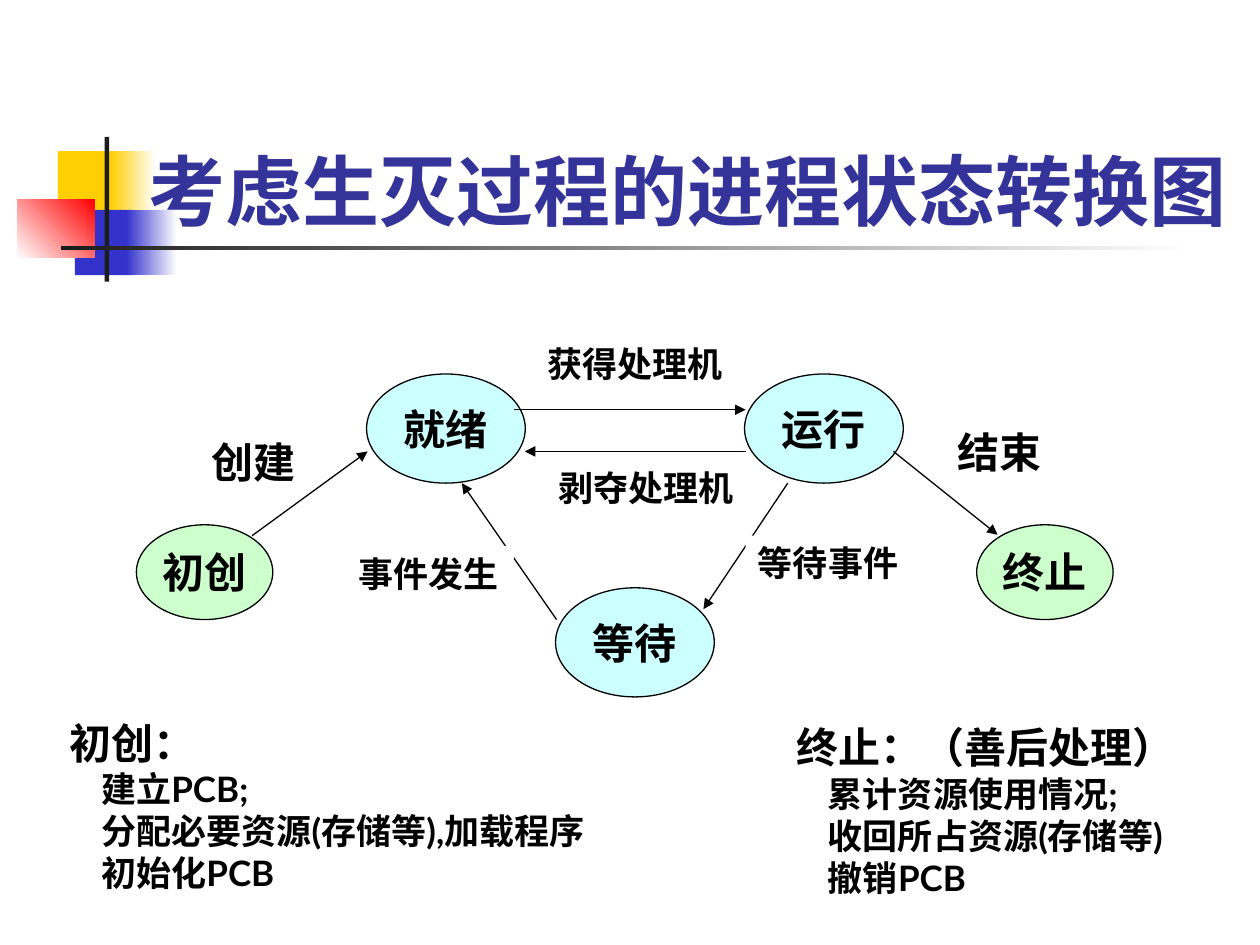
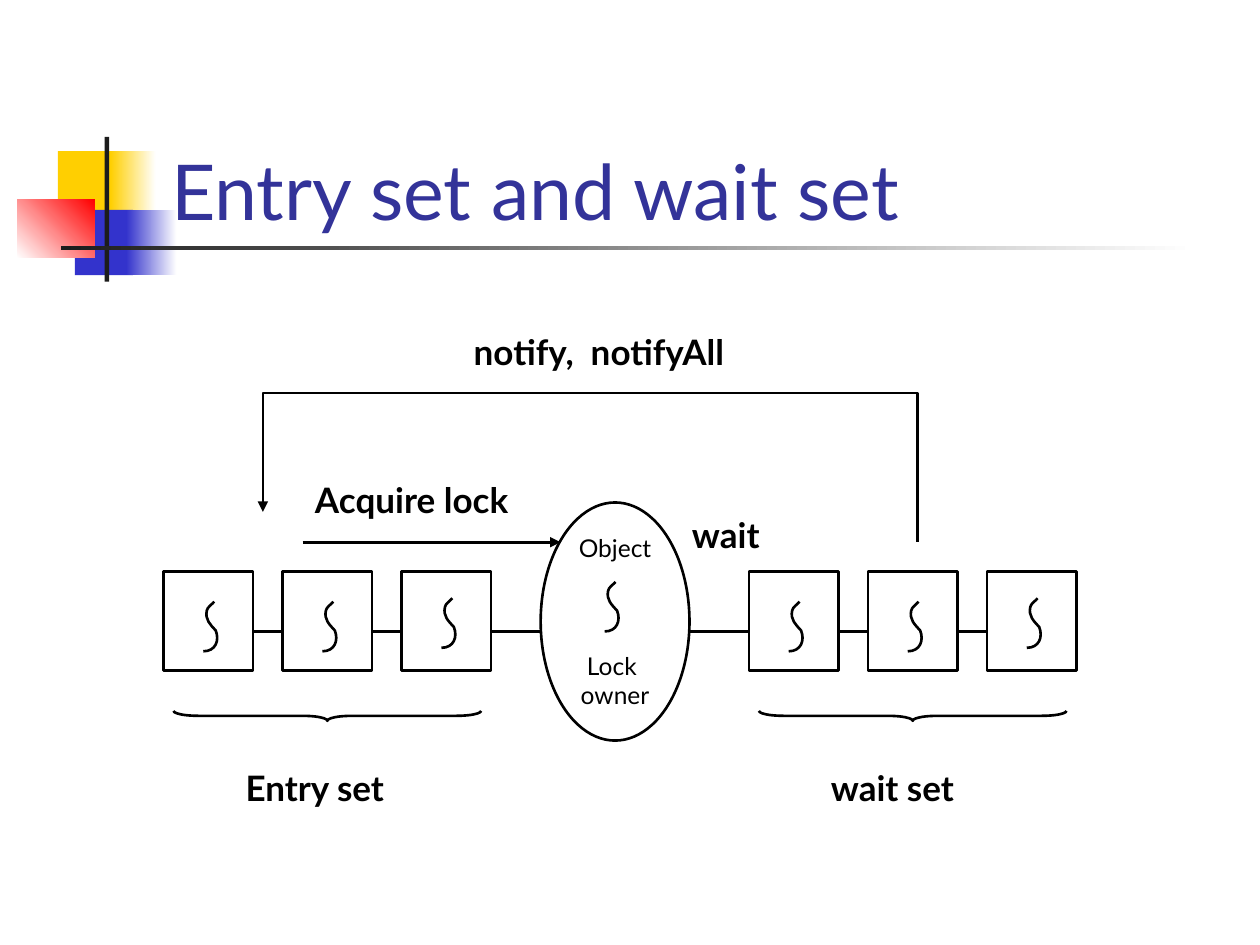
from lxml import etree
from pptx import Presentation
from pptx import util as u
from pptx.dml.color import RGBColor
from pptx.enum import shapes, text
from pptx.oxml.ns import qn

C = {"ink": "000000", "white": "FFFFFF", "title": "333399", "yellow": "FFCF01",
     "blue": "3333CC", "red": "FF0000", "dark": "1C1C1C", "cyan": "CCFFFF", "green": "CCFFCC"}
RECT, OVAL = shapes.MSO_SHAPE.RECTANGLE, shapes.MSO_SHAPE.OVAL
LEFT, CENTER = text.PP_ALIGN.LEFT, text.PP_ALIGN.CENTER
TITLE = {"name": "Lato", "size": u.Pt(44)}
STATE = {"name": "Times New Roman", "size": u.Pt(24), "bold": True}
EVENT = {**STATE, "size": u.Pt(20)}
HEAD = {**STATE, "name": "Lato"}
LABEL = {**EVENT, "name": "Lato"}
OWNER = {"name": "Lato", "size": u.Pt(14)}


def stroke(sp, width, arrow=False):
    sp.line.color.rgb = RGBColor.from_string(C["ink"])
    sp.line.width = u.Pt(width)
    spPr = sp._element.spPr
    if arrow:
        etree.SubElement(spPr.find(qn("a:ln")), qn("a:tailEnd"), type="triangle")
    if spPr.find(qn("a:effectLst")) is None:
        etree.SubElement(spPr, qn("a:effectLst"))


def box(s, at, kind=None, fill=None, width=0, lines=(), color="ink", align=LEFT,
        anchor=text.MSO_ANCHOR.TOP, wrap=True):
    at = [u.Cm(v) for v in at]
    if kind is None:
        sp = s.shapes.add_textbox(*at)
    else:
        sp = s.shapes.add_shape(kind, *at)
        sp.shadow.inherit = False
        sp.line.fill.background()
    if isinstance(fill, tuple):
        sp.fill.gradient()
        sp.fill.gradient_angle = fill[2]
        for stop, name in zip(sp.fill.gradient_stops, fill):
            stop.color.rgb = RGBColor.from_string(C[name])
    elif fill:
        sp.fill.solid()
        sp.fill.fore_color.rgb = RGBColor.from_string(C[fill])
    else:
        sp.fill.background()
    if width:
        stroke(sp, width)
    tf = sp.text_frame
    tf.word_wrap = wrap
    tf.vertical_anchor = anchor
    for i, (words, fmt) in enumerate(lines):
        p = tf.paragraphs[0] if i == 0 else tf.add_paragraph()
        p.alignment = align
        r = p.add_run()
        r.text = words
        for key, value in fmt.items():
            setattr(r.font, key, value)
        r.font.color.rgb = RGBColor.from_string(C[color])
    return sp


prs = Presentation()
prs.slide_width, prs.slide_height = u.Cm(25.4), u.Cm(19.05)

band = [
    ((1.17, 3.05, 1.22, 1.32), "yellow"),
    ((2.23, 3.05, 0.91, 1.32), ("yellow", "white", 0)),
    ((1.51, 4.23, 1.17, 1.32), "blue"),
    ((2.55, 4.23, 1.01, 1.32), ("blue", "white", 0)),
    ((0.35, 4.02, 1.56, 1.18), ("white", "red", 45)),
    ((2.11, 2.76, 0.09, 2.92), "dark"),
    ((1.23, 4.95, 22.86, 0.09), ("dark", "white", 0)),
]
titles = [
    ("考虑生灭过程的进程状态转换图", 2.75, 22.35, {**TITLE, "bold": True}),
    ("Entry set and wait set", 3.2, 21.64, TITLE),
]
for words, x, w, fmt in titles:
    s = prs.slides.add_slide(prs.slide_layouts[6])
    for at, fill in band:
        box(s, at, RECT, fill)
    box(s, (x, 1.7, w, 3.18), lines=[(words, fmt)], color="title",
        anchor=text.MSO_ANCHOR.BOTTOM)

s = prs.slides[0]
states = [
    ("就绪", 7.39, 7.54, 3.2, 2.2, "cyan"),
    ("等待", 11.2, 11.85, 3.2, 2.2, "cyan"),
    ("运行", 15.01, 7.54, 3.2, 2.2, "cyan"),
    ("初创", 2.75, 10.58, 2.75, 1.91, "green"),
    ("终止", 19.69, 10.58, 2.75, 1.91, "green"),
]
for words, x, y, w, h, fill in states:
    box(s, (x, y, w, h), OVAL, fill, 0.75, [(words, STATE)], align=CENTER,
        anchor=text.MSO_ANCHOR.MIDDLE, wrap=False)

moves = [
    (10.37, 8.26, 15.03, 8.26),
    (15.88, 9.74, 14.18, 12.28),
    (11.22, 12.49, 9.31, 9.74),
    (15.03, 9.1, 10.58, 9.1),
    (5.08, 10.8, 7.41, 9.1),
    (18.01, 9.1, 20.11, 10.78),
]
for ends in moves:
    ln = s.shapes.add_connector(shapes.MSO_CONNECTOR.STRAIGHT, *[u.Cm(v) for v in ends])
    stroke(ln, 0.75, True)

events = [
    ("获得处理机", 10.79, 6.77, 4.24),
    ("剥夺处理机", 11, 9.27, 4.24),
    ("等待事件", 15.03, 10.8, 3.38),
    ("事件发生", 6.98, 11.01, 3.38),
]
for words, x, y, w in events:
    box(s, (x, y, w, 1.12), RECT, "white", lines=[(words, EVENT)])
for words, x, y, w in [("创建", 4.02, 8.68, 2.54), ("结束", 19.05, 8.47, 3.18)]:
    box(s, (x, y, w, 1.27), lines=[(words, STATE)])

notes = [
    (1.15, 14.33, 11.96, "初创：", ["建立PCB;", "分配必要资源(存储等),加载程序", "初始化PCB"]),
    (15.8, 14.43, 8.71, "终止：（善后处理）", ["累计资源使用情况;", "收回所占资源(存储等)", "撤销PCB"]),
]
for x, y, w, head, steps in notes:
    sp = box(s, (x, y, w, 3.81), lines=[(head, HEAD)] + [(step, LABEL) for step in steps])
    for p in sp.text_frame.paragraphs[1:]:
        p._p.get_or_add_pPr().set("marL", str(u.Cm(0.64)))

s = prs.slides[1]
sp = box(s, (10.9, 10.13, 3, 4.8), OVAL, "white", 1.5,
         [(words, OWNER) for words in ("Object", "Lock ", "owner")], align=CENTER,
         anchor=text.MSO_ANCHOR.MIDDLE, wrap=False)
sp.text_frame.paragraphs[1].space_before = u.Pt(50.5)

links = [(9.91, 10.9), (13.9, 15.1)]
threads = [(12.19, 11.73)]
for left, name in [(3.3, "Entry set"), (15.1, "wait set")]:
    for i in range(3):
        x = left + 2.4 * i
        box(s, (x, 11.52, 1.8, 2), RECT, "white", 1.5)
        threads.append((x + 0.8, 12.06 if i == 2 else 12.13))
        if i < 2:
            links.append((x + 1.8, x + 2.4))
    sp = box(s, (left + 3.2, 11.33, 0.2, 6.2), shapes.MSO_SHAPE.LEFT_BRACE, width=1.5)
    sp.rotation = 270
    sp.adjustments[0] = 2.5
    box(s, (left + 1.4, 15.32, 3.78, 1.12), lines=[(name, LABEL)])

for x1, x2 in links:
    ln = s.shapes.add_connector(shapes.MSO_CONNECTOR.STRAIGHT, u.Cm(x1), u.Cm(12.73),
                                u.Cm(x2), u.Cm(12.73))
    stroke(ln, 1.5)
ln = s.shapes.add_connector(shapes.MSO_CONNECTOR.STRAIGHT, u.Cm(6.1), u.Cm(10.93),
                            u.Cm(11.3), u.Cm(10.93))
stroke(ln, 1.5, True)

squiggle = [(0.22, 0), (0.17, 0.06), (0.08, 0.11), (0.07, 0.18), (0.03, 0.36), (0.14, 0.46),
            (0.25, 0.58), (0.33, 0.78), (0.25, 1), (0, 1)]
outlines = [([(x + dx, y + dy) for dx, dy in squiggle], False) for x, y in threads]
outlines.append(([(18.5, 10.92), (18.5, 7.92), (5.3, 7.92), (5.3, 10.32)], True))
for points, arrow in outlines:
    points = [(u.Cm(x), u.Cm(y)) for x, y in points]
    fb = s.shapes.build_freeform(*points[0])
    fb.add_line_segments(points[1:], close=False)
    sp = fb.convert_to_shape()
    sp.fill.background()
    stroke(sp, 1.5, arrow)
    if not arrow:
        track = sp._element.spPr.find(".//" + qn("a:path"))
        steps = track.findall(qn("a:lnTo"))
        for k in range(0, len(steps), 3):
            bend = etree.SubElement(track, qn("a:cubicBezTo"))
            for step in steps[k:k + 3]:
                bend.append(step[0])
                track.remove(step)

labels = [
    ("wait", 13.7, 10.22, 2.21),
    ("Acquire lock", 6.1, 9.52, 5.59),
    ("notify,  notifyAll", 9.3, 6.53, 6.6),
]
for words, x, y, w in labels:
    box(s, (x, y, w, 1.12), lines=[(words, LABEL)])

prs.save("out.pptx")
